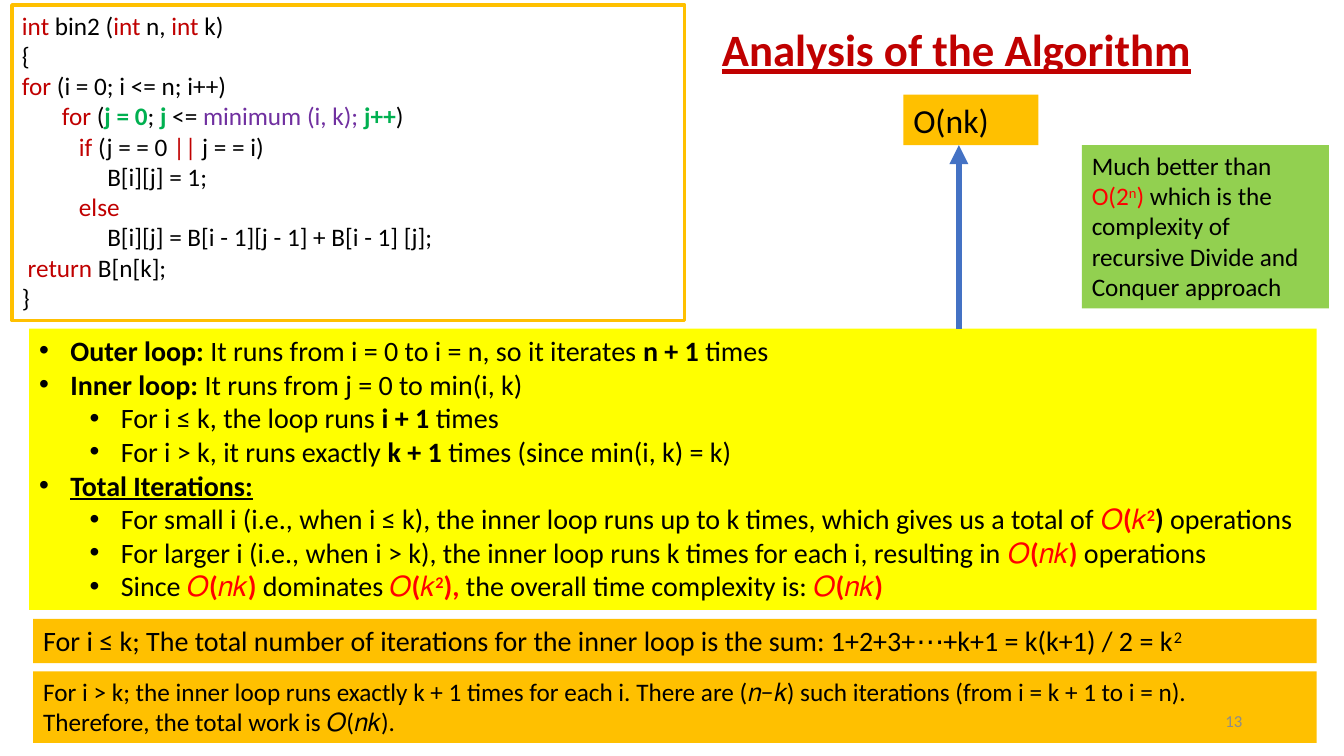
from pptx import Presentation
from pptx.dml.color import RGBColor
from pptx.enum.shapes import MSO_CONNECTOR, MSO_SHAPE
from pptx.enum.text import MSO_ANCHOR, MSO_AUTO_SIZE, PP_ALIGN
from pptx.oxml.ns import qn
from pptx.util import Emu, Pt
from lxml import etree

PX = 9144  # EMU per px, 100 px to the inch
TITLE_ONLY = 5
RECTANGLE = MSO_SHAPE.RECTANGLE
STRAIGHT = MSO_CONNECTOR.STRAIGHT
MIDDLE, TOP = MSO_ANCHOR.MIDDLE, MSO_ANCHOR.TOP
GROW, FIXED = MSO_AUTO_SIZE.SHAPE_TO_FIT_TEXT, MSO_AUTO_SIZE.NONE
LEFT, RIGHT = PP_ALIGN.LEFT, PP_ALIGN.RIGHT

FONT = "Calibri"
BLACK, DARK_RED, RED = "000000", "C00000", "FF0000"
AMBER, YELLOW, LIME, BLUE, GREY = "FFC000", "FFFF00", "92D050", "4472C4", "8C8C8C"

# Run styles: a run is plain text or a (text, style) pair
KEYWORD = {"color": DARK_RED}
COUNTER = {"color": "00B050", "bold": True}
CALL = {"color": "7030A0"}
BOLD = {"bold": True}
HEADING = {"bold": True, "underline": True}
ORDER = {"color": RED, "bold": True}
ORDER_POWER = {"color": RED, "bold": True, "superscript": True}
WARNING = {"color": RED}
WARNING_POWER = {"color": RED, "superscript": True}
POWER = {"superscript": True}

CODE = [
    [("int", KEYWORD), " bin2 (", ("int", KEYWORD), " n, ", ("int", KEYWORD), " k)"],
    ["{"],
    [("for ", KEYWORD), "(i = 0; i <= n; i++)"],
    ["       ", ("for", KEYWORD), " (", ("j = 0", COUNTER), "; ", ("j ", COUNTER), "<= ",
     ("minimum (i, k); ", CALL), ("j++", COUNTER), ")"],
    ["          ", ("if", KEYWORD), " (j = = 0 ", ("||", KEYWORD), " j = = i)"],
    ["               B[i][j] = 1;"],
    ["          ", ("else", KEYWORD)],
    ["               B[i][j] = B[i - 1][j - 1] + B[i - 1] [j];"],
    [" ", ("return", KEYWORD), " B[n[k];"],
    ["}"],
]
# (level, runs)
LOOP_POINTS = [
    (0, [("Outer loop: ", BOLD), "It runs from i = 0 to i = n, so it iterates ",
         ("n + 1 ", BOLD), "times"]),
    (0, [("Inner loop: ", BOLD), "It runs from j = 0 to min(i, k)"]),
    (1, ["For i ≤ k, the loop runs ", ("i + 1 ", BOLD), "times"]),
    (1, ["For i > k, it runs exactly ", ("k + 1 ", BOLD), "times (since min(i, k) = k)"]),
    (0, [("Total Iterations:", HEADING)]),
    (1, ["For small i (i.e., when i ≤ k), the inner loop runs up to k times, "
         "which gives us a total of ",
         ("𝑂(𝑘", ORDER), ("2", ORDER_POWER), (") ", BOLD), "operations"]),
    (1, ["For larger i (i.e., when i > k), the inner loop runs k times for each i, "
         "resulting in ", ("𝑂(𝑛𝑘) ", ORDER), "operations"]),
    (1, ["Since ", ("𝑂(𝑛𝑘) ", ORDER), "dominates ", ("𝑂(𝑘", ORDER), ("2", ORDER_POWER),
         ("), ", ORDER), "the overall time complexity is: ", ("𝑂(𝑛𝑘)", ORDER)]),
]
SMALL_I = [["For i ≤ k; The total number of iterations for the inner loop is the sum: "
            "1+2+3+⋯+k+1 = k(k+1) / 2 = k", ("2", POWER)]]
LARGE_I = [
    ["For i > k; the inner loop runs exactly k + 1 times for each i. "
     "There are (𝑛−𝑘) such iterations (from i = k + 1 to i = n)."],
    ["Therefore, the total work is 𝑂(𝑛𝑘)."],
]
COMPARISON = [
    ["Much better than"],
    [("O(2", WARNING), ("n", WARNING_POWER), (") ", WARNING),
     "which is the complexity of recursive Divide and Conquer approach"],
]


def px(*lengths):
    return [Emu(length * PX) for length in lengths]


def rgb(color):
    return RGBColor.from_string(color)


def add_run(paragraph, text, size, color=BLACK, bold=False, underline=False,
            superscript=False):
    run = paragraph.add_run()
    run.text = text
    font = run.font
    font.name, font.size = FONT, Pt(size)
    font.bold, font.underline = bold, underline
    font.color.rgb = rgb(color)
    if superscript:
        run._r.get_or_add_rPr().set("baseline", "30000")


def add_bullet(paragraph, level):
    paragraph.level = level
    hanging, = px(31)
    left, = px(31 + 50 * level)
    properties = paragraph._p.get_or_add_pPr()
    properties.set("marL", str(left))
    properties.set("indent", str(-hanging))
    etree.SubElement(properties, qn("a:buFont")).set("typeface", "Arial")
    etree.SubElement(properties, qn("a:buChar")).set("char", "•")


def write_text(shape, paragraphs, size, color=BLACK, align=LEFT, anchor=TOP,
               auto_size=GROW, levels=None, line_spacing=None):
    """Fill a shape with paragraphs of runs; levels makes them bullets."""
    frame = shape.text_frame
    frame.word_wrap = True
    frame.auto_size = auto_size
    frame.vertical_anchor = anchor
    for index, runs in enumerate(paragraphs):
        paragraph = frame.add_paragraph() if index else frame.paragraphs[0]
        paragraph.alignment = align
        if line_spacing:
            paragraph.line_spacing = line_spacing
        if levels:
            add_bullet(paragraph, levels[index])
        for run in runs:
            text, style = (run, {}) if isinstance(run, str) else run
            add_run(paragraph, text, size, **{"color": color, **style})


def add_box(slide, box, paragraphs, size, fill=None, outline=None, **text_format):
    shape = slide.shapes.add_shape(RECTANGLE, *px(*box))
    shape.shadow.inherit = False
    if fill:
        shape.fill.solid()
        shape.fill.fore_color.rgb = rgb(fill)
    else:
        shape.fill.background()
    if outline:
        shape.line.color.rgb = rgb(outline)
        shape.line.width = Pt(2.75)
    else:
        shape.line.fill.background()
    write_text(shape, paragraphs, size, **text_format)


def add_arrow(slide, start, end, color, width):
    arrow = slide.shapes.add_connector(STRAIGHT, *px(*start, *end))
    arrow.line.color.rgb = rgb(color)
    arrow.line.width = Pt(width)
    etree.SubElement(arrow.line._get_or_add_ln(), qn("a:tailEnd")).set("type", "triangle")
    etree.SubElement(arrow._element.spPr, qn("a:effectLst"))


def set_title(slide, box, text):
    title = slide.shapes.title
    title.left, title.top, title.width, title.height = px(*box)
    write_text(title, [[(text, HEADING)]], 32, color=DARK_RED, anchor=MIDDLE,
               auto_size=FIXED, line_spacing=0.9)


def add_page_number(slide, box, number):
    text_box = slide.shapes.add_textbox(*px(*box))
    write_text(text_box, [[number]], 12, color=GREY, align=RIGHT, anchor=MIDDLE,
               auto_size=FIXED)


def main():
    presentation = Presentation()
    presentation.slide_width, presentation.slide_height = px(1333, 750)
    slide = presentation.slides.add_slide(presentation.slide_layouts[TITLE_ONLY])

    add_box(slide, (12, 5, 667, 313), CODE, 18, outline=AMBER)
    set_title(slide, (706, 3, 535, 98), "Analysis of the Algorithm")
    levels, points = zip(*LOOP_POINTS)
    add_box(slide, (29, 326, 1277, 279), points, 20, fill=YELLOW, levels=levels)
    add_box(slide, (896, 94, 134, 50), [["O(nk)"]], 24, fill=AMBER)
    add_arrow(slide, (951, 326), (951, 144), BLUE, 4.5)
    add_box(slide, (33, 614, 1273, 44), SMALL_I, 20, fill=AMBER)
    add_box(slide, (33, 666, 1273, 71), LARGE_I, 18, fill=AMBER)
    add_box(slide, (1073, 144, 245, 162), COMPARISON, 18, fill=LIME)
    add_page_number(slide, (942, 695, 300, 40), "13")

    presentation.save("out.pptx")


if __name__ == "__main__":
    main()
